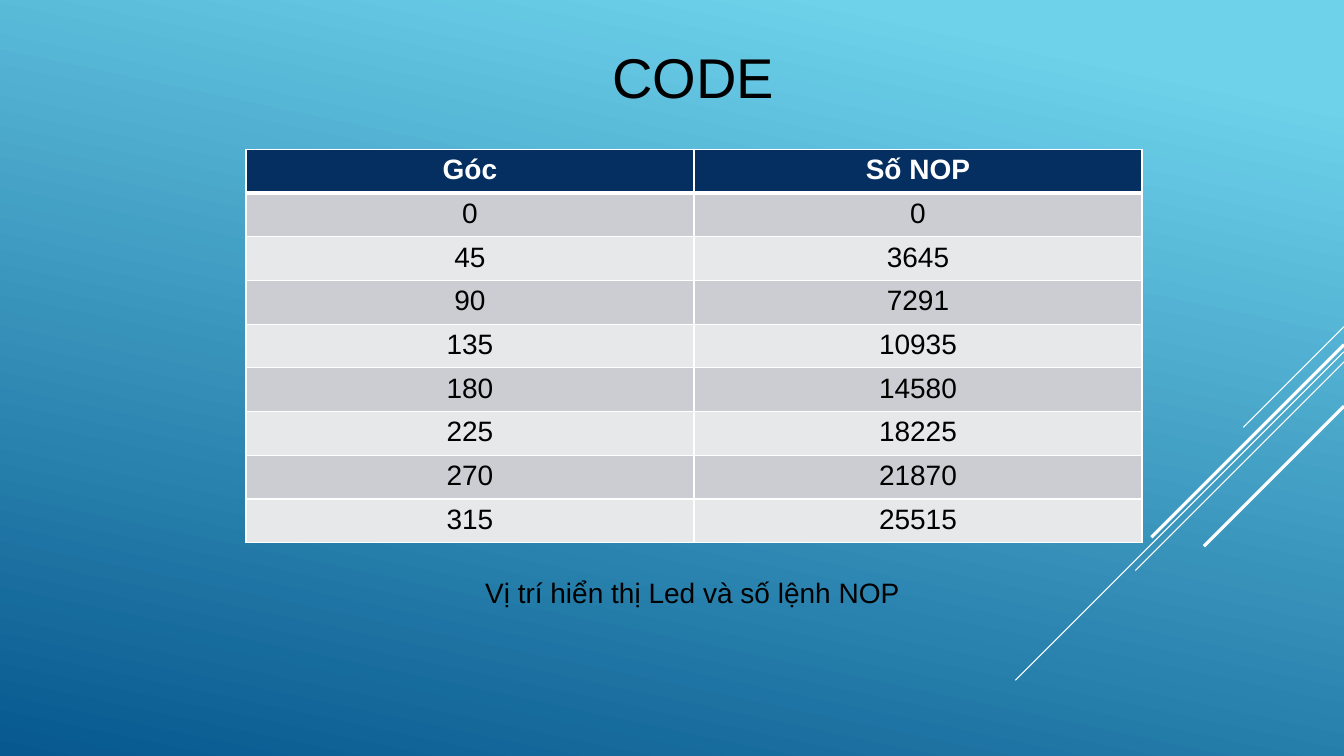
from dataclasses import dataclass

from lxml.etree import SubElement
from pptx import Presentation
from pptx.dml.color import RGBColor
from pptx.enum.shapes import MSO_CONNECTOR
from pptx.enum.text import MSO_ANCHOR, PP_ALIGN
from pptx.oxml.ns import qn
from pptx.slide import Slide
from pptx.table import _Cell
from pptx.text.text import TextFrame
from pptx.util import Emu, Inches, Pt

GRID_COLS = 160
SLIDE_W, SLIDE_H = Inches(13.333), Inches(7.5)


@dataclass(frozen=True)
class Theme:
    font: str = "Arial"
    title_size: int = 40
    body_size: int = 20
    text: str = "000000"
    white: str = "FFFFFF"
    header: str = "052F61"
    bands: tuple[str, str] = ("CCCDD2", "E7E8EA")
    sky: tuple[tuple[float, str], ...] = ((0.1, "6ED2EB"), (1.0, "06588E"))
    sky_angle: int = 258
    thin: float = 0.75
    thick: float = 2.25
    border: int = 1
    header_rule: int = 3


THEME = Theme()


@dataclass(frozen=True)
class Label:
    text: str
    left: float
    top: float
    width: float
    height: float
    size: int


@dataclass(frozen=True)
class Ray:
    """A 45-degree line running down and left from the right slide edge."""
    top: float
    run: float
    weight: float


RAYS = (
    Ray(38.88, 12, THEME.thin),
    Ray(41.88, 39.12, THEME.thin),
    Ray(43.08, 24.84, THEME.thin),
    Ray(41.04, 22.92, THEME.thick),
    Ray(48.36, 16.68, THEME.thick),
)
TITLE = Label("CODE", 70.08, 3.84, 24.84, 10.44, THEME.title_size)
CAPTION = Label("Vị trí hiển thị Led và số lệnh NOP", 30.36, 67.92, 104.16, 5.28,
                THEME.body_size)

TABLE_LEFT, TABLE_TOP = 29.28, 17.76
COL_WIDTH, ROW_HEIGHT = 53.34, 4.92
HEADINGS = ("Góc", "Số NOP")
NOP_COUNTS = (0, 3645, 7291, 10935, 14580, 18225, 21870, 25515)
ANGLE_STEP = 45


def grid(units: float) -> Emu:
    """Convert square grid units (160 across, 90 down) to a length."""
    return Emu(round(SLIDE_W * units / GRID_COLS))


def rgb(value: str) -> RGBColor:
    return RGBColor.from_string(value)


def write(tf: TextFrame, text: str, size: int, color: str, bold: bool = False) -> None:
    p = tf.paragraphs[0]
    p.alignment = PP_ALIGN.CENTER
    r = p.add_run()
    r.text = text
    for name, value in {"name": THEME.font, "size": Pt(size), "bold": bold}.items():
        setattr(r.font, name, value)
    r.font.color.rgb = rgb(color)


def paint_background(s: Slide) -> None:
    fill = s.background.fill
    fill.gradient()
    fill.gradient_angle = THEME.sky_angle
    for stop, (position, color) in zip(fill.gradient_stops, THEME.sky):
        stop.position = position
        stop.color.rgb = rgb(color)


def add_ray(s: Slide, ray: Ray) -> None:
    line = s.shapes.add_connector(
        MSO_CONNECTOR.STRAIGHT, grid(GRID_COLS), grid(ray.top),
        grid(GRID_COLS - ray.run), grid(ray.top + ray.run))
    line.line.color.rgb = rgb(THEME.white)
    line.line.width = Pt(ray.weight)
    SubElement(line._element.spPr, qn("a:effectLst"))


def add_label(s: Slide, label: Label) -> None:
    sp = s.shapes.add_textbox(grid(label.left), grid(label.top),
                              grid(label.width), grid(label.height))
    tf = sp.text_frame
    for name, value in {"word_wrap": True, "vertical_anchor": MSO_ANCHOR.MIDDLE}.items():
        setattr(tf, name, value)
    write(tf, label.text, label.size, THEME.text)


def set_borders(cell: _Cell, top: int, bottom: int) -> None:
    weights = {"L": THEME.border, "R": THEME.border, "T": top, "B": bottom}
    tc_pr = cell._tc.get_or_add_tcPr()
    for side, weight in weights.items():
        ln = SubElement(tc_pr, qn(f"a:ln{side}"), w=str(Pt(weight)))
        solid = SubElement(ln, qn("a:solidFill"))
        SubElement(solid, qn("a:srgbClr"), val=THEME.white)


def add_nop_table(s: Slide) -> None:
    rows = [HEADINGS] + [(str(i * ANGLE_STEP), str(count))
                         for i, count in enumerate(NOP_COUNTS)]
    table = s.shapes.add_table(
        len(rows), len(HEADINGS), grid(TABLE_LEFT), grid(TABLE_TOP),
        grid(COL_WIDTH * len(HEADINGS)), grid(ROW_HEIGHT * len(rows))).table
    for column in table.columns:
        column.width = grid(COL_WIDTH)
    for i, values in enumerate(rows):
        table.rows[i].height = grid(ROW_HEIGHT)
        is_header = i == 0
        fill = THEME.header if is_header else THEME.bands[(i - 1) % 2]
        color = THEME.white if is_header else THEME.text
        top = THEME.header_rule if i == 1 else THEME.border
        bottom = THEME.header_rule if is_header else THEME.border
        for j, value in enumerate(values):
            cell = table.cell(i, j)
            set_borders(cell, top, bottom)
            cell.fill.solid()
            cell.fill.fore_color.rgb = rgb(fill)
            write(cell.text_frame, value, THEME.body_size, color, is_header)


def main() -> None:
    prs = Presentation()
    prs.slide_width, prs.slide_height = SLIDE_W, SLIDE_H
    s = prs.slides.add_slide(prs.slide_layouts[6])
    paint_background(s)
    for ray in RAYS:
        add_ray(s, ray)
    add_label(s, TITLE)
    add_nop_table(s)
    add_label(s, CAPTION)
    prs.save("out.pptx")


if __name__ == "__main__":
    main()
